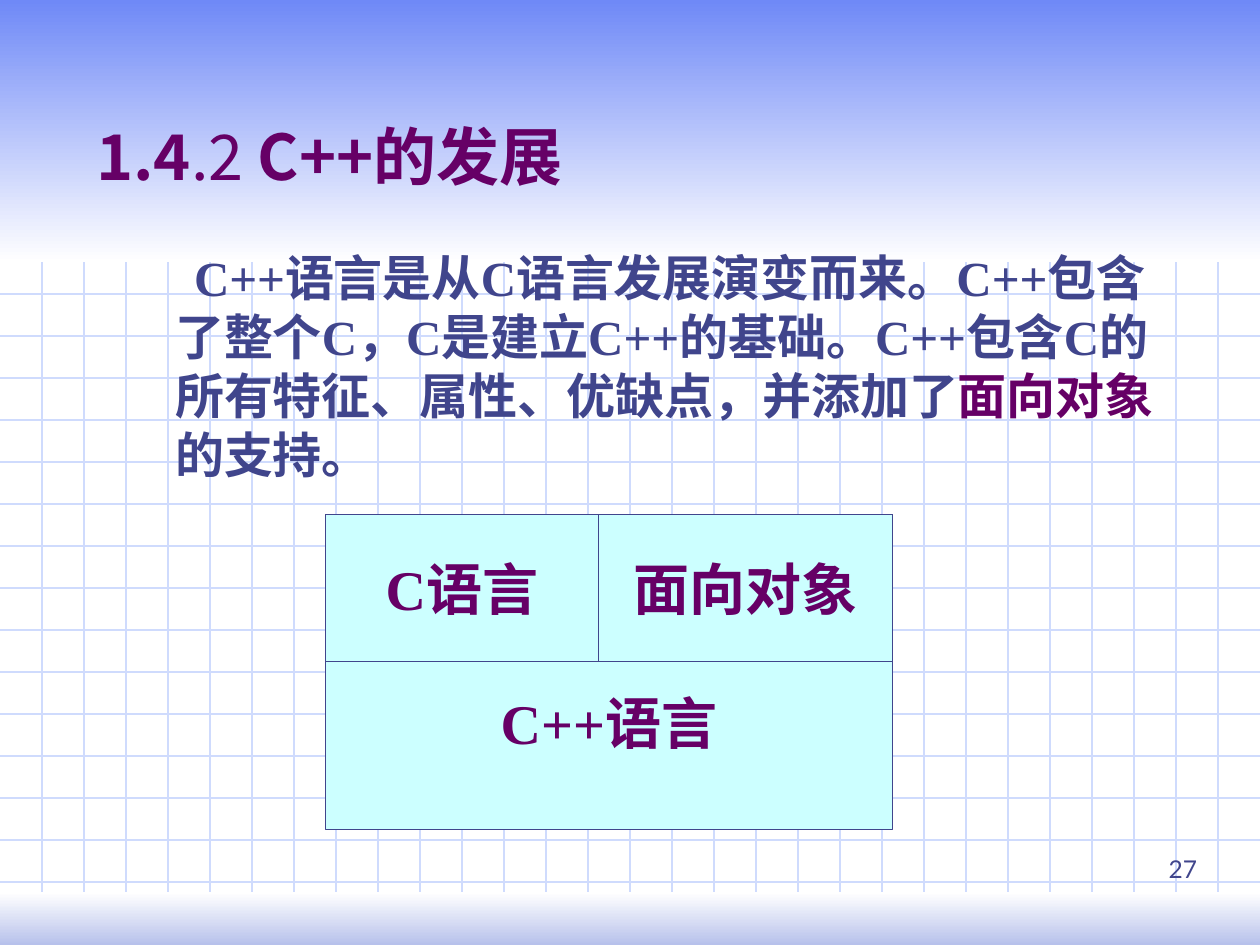
from lxml import etree
from pptx import Presentation
from pptx import util as u
from pptx.dml.color import RGBColor
from pptx.enum import shapes, text
from pptx.oxml.ns import qn

PX = 7620
WIDTH, HEIGHT, STEP = 1200, 900, 40
PURPLE, NAVY, CYAN = "660066", "40458C", "CCFFFF"
CJK, SERIF = "Noto Sans CJK SC", "Times New Roman"


def px(*lengths):
    return [u.Emu(n * PX) for n in lengths]


def color(value):
    return RGBColor.from_string(value)


def write(sp, runs, font=CJK, size=32, fill=PURPLE, bold=True, align="LEFT",
          anchor="MIDDLE", wrap=True, top=6, margin=0, indent=0, spacing=None):
    tf = sp.text_frame
    tf.word_wrap = wrap
    tf.vertical_anchor = getattr(text.MSO_ANCHOR, anchor)
    tf.margin_left, tf.margin_right, tf.margin_top, tf.margin_bottom = px(12, 12, top, 6)
    p = tf.paragraphs[0]
    p.alignment = getattr(text.PP_ALIGN, align)
    if margin:
        pPr = p._p.get_or_add_pPr()
        pPr.set("marL", str(margin * PX))
        pPr.set("indent", str(indent * PX))
    if spacing:
        p.line_spacing = u.Pt(spacing)
    for content, changes in runs:
        r = p.add_run()
        r.text = content
        r.font.name = font
        r.font.size = u.Pt(size)
        r.font.bold = changes.get("bold", bold)
        r.font.color.rgb = color(changes.get("fill", fill))
        ea = etree.SubElement(r._r.get_or_add_rPr(), qn("a:ea"))
        ea.set("typeface", CJK)


def add_text(s, box, runs, **style):
    write(s.shapes.add_textbox(*px(*box)), runs, **style)


def add_rect(s, box):
    sp = s.shapes.add_shape(shapes.MSO_SHAPE.RECTANGLE, *px(*box))
    sp.shadow.inherit = False
    return sp


def add_line(s, x1, y1, x2, y2):
    line = s.shapes.add_connector(shapes.MSO_CONNECTOR.STRAIGHT, *px(x1, y1, x2, y2))
    line.line.color.rgb = color("CFDBFD")
    line.line.width = u.Pt(0.75)
    etree.SubElement(line._element.spPr, qn("a:effectLst"))


def add_grid(s, x, y, w, h):
    for offset in range(STEP, h, STEP):
        add_line(s, x, y + offset, x + w, y + offset)
    for offset in range(STEP, w, STEP):
        add_line(s, x + offset, y, x + offset, y + h)


def add_fade(s, box, start, end):
    sp = add_rect(s, box)
    sp.fill.gradient()
    sp.fill.gradient_angle = 270
    for stop, value in zip(sp.fill.gradient_stops, (start, end)):
        stop.color.rgb = color(value)
    sp.line.fill.background()


def add_block(s, box, label, top=6):
    sp = add_rect(s, box)
    sp.fill.solid()
    sp.fill.fore_color.rgb = color(CYAN)
    sp.line.color.rgb = color(NAVY)
    sp.line.width = u.Pt(1)
    write(sp, [(label, {})], font=SERIF, align="CENTER", wrap=False, top=top)


def add_language_diagram(s, x, y, w, h):
    split, row = 260, 140
    add_block(s, (x, y, w, h), "C++语言", top=102)
    add_block(s, (x, y, split, row), "C语言")
    add_block(s, (x + split, y, w - split, row), "面向对象")


def add_background(s, x, y, w, h):
    header, footer = 250, 50
    add_grid(s, x, y, w, h)
    add_fade(s, (x, y, w, header), "6F89F7", "FFFFFF")
    add_fade(s, (x, y + h - footer, w, footer), "FFFFFF", "B7C1EB")


def main():
    prs = Presentation()
    prs.slide_width, prs.slide_height = px(WIDTH, HEIGHT)
    s = prs.slides.add_slide(prs.slide_layouts[6])
    add_background(s, 0, 0, WIDTH, HEIGHT)
    add_text(s, (80, 40, 1020, 150),
             [("1.4", {}), (".2", {"bold": False}), (" C++的发展", {})],
             size=36, anchor="BOTTOM")
    add_text(s, (110, 230, 1020, 540),
             [("C++语言是从C语言发展演变而来。C++包含了整个C，C是建立C++的基础。"
               "C++包含C的所有特征、属性、优缺点，并添加了", {}),
              ("面向对象", {"fill": PURPLE}), ("的支持。", {})],
             font=SERIF, size=28, fill=NAVY, anchor="TOP",
             margin=45, indent=18, spacing=33.7)
    add_language_diagram(s, 310, 490, 540, 300)
    add_text(s, (1020, 800, 132, 47), [("27", {})], font="Lato", size=14,
             fill=NAVY, bold=False, align="RIGHT", anchor="BOTTOM")
    prs.save("out.pptx")


if __name__ == "__main__":
    main()
